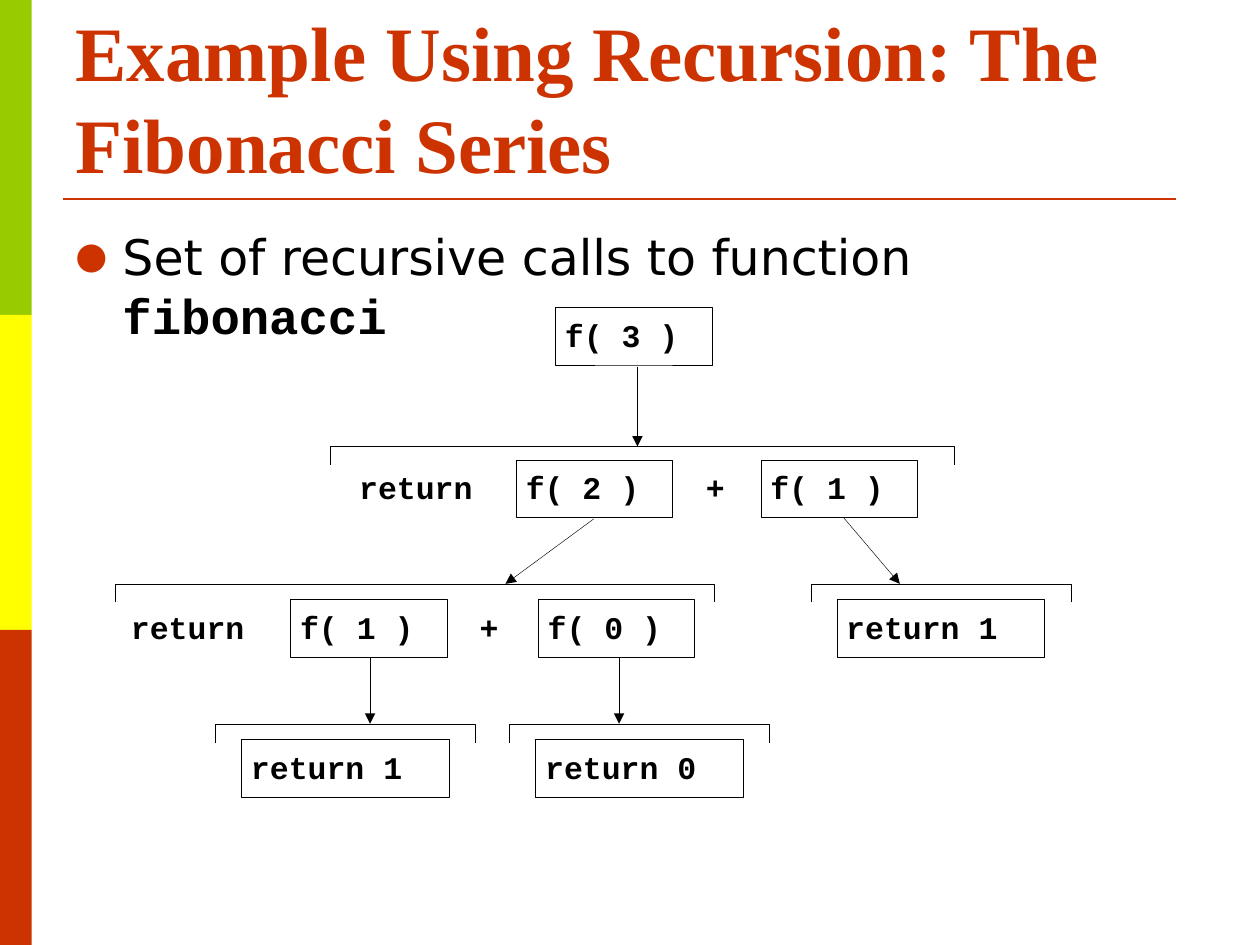
"""Build a slide that shows the recursive calls of the Fibonacci function."""
import pptx
import pptx.util
import pptx.dml.color
import pptx.enum.shapes
import pptx.enum.text
import pptx.oxml.ns
import lxml.etree

Cm, Pt = pptx.util.Cm, pptx.util.Pt
RECT = pptx.enum.shapes.MSO_SHAPE.RECTANGLE
RED, BLACK = "CC3300", "000000"
qn = pptx.oxml.ns.qn


def hue(code):
    return pptx.dml.color.RGBColor.from_string(code)


def style(run, name, size, code=BLACK, bold=True):
    run.font.name, run.font.size, run.font.bold = name, Pt(size), bold
    run.font.color.rgb = hue(code)


deck = pptx.Presentation()
deck.slide_width, deck.slide_height = Cm(25.4), Cm(19.05)
slide = deck.slides.add_slide(deck.slide_layouts[5])
shapes = slide.shapes

for row, code in enumerate(["99CC00", "FFFF00", RED]):
    bar = shapes.add_shape(RECT, 0, Cm(6.35 * row), Cm(0.64), Cm(6.35))
    bar.shadow.inherit = False
    bar.fill.solid()
    bar.fill.fore_color.rgb = hue(code)
    bar.line.fill.background()

title = shapes.title
title.left, title.top, title.width, title.height = Cm(1.27), Cm(0.76), Cm(22.86), Cm(3.18)
frame = title.text_frame
frame.text = "Example Using Recursion: The Fibonacci Series"
frame.word_wrap = True
frame.auto_size = pptx.enum.text.MSO_AUTO_SIZE.NONE
frame.vertical_anchor = pptx.enum.text.MSO_ANCHOR.BOTTOM
frame.paragraphs[0].alignment = pptx.enum.text.PP_ALIGN.LEFT
style(frame.paragraphs[0].runs[0], "Times New Roman", 44, RED)

body = shapes.add_textbox(Cm(1.27), Cm(4.45), Cm(22.86), Cm(12.57))
body.text_frame.word_wrap = True
para = body.text_frame.paragraphs[0]
para.text = "Set of recursive calls to function "
para.space_before = Pt(7)
style(para.runs[0], "DejaVu Sans", 28, bold=False)
code_run = para.add_run()
code_run.text = "fibonacci"
style(code_run, "Courier New", 28)
props = para._p.get_or_add_pPr()
props.set("marL", str(Cm(0.95)))
props.set("indent", str(Cm(-0.95)))
tint = lxml.etree.SubElement(props, qn("a:buClr"))
lxml.etree.SubElement(tint, qn("a:srgbClr"), val=RED)
lxml.etree.SubElement(props, qn("a:buSzPct"), val="75000")
lxml.etree.SubElement(props, qn("a:buFont"), typeface="DejaVu Sans")
lxml.etree.SubElement(props, qn("a:buChar"), char="●")

for left, right, top in [
    (4.34, 9.58, 14.6), (10.26, 15.51, 14.6), (16.35, 21.6, 11.77),
    (2.33, 14.4, 11.77), (6.65, 19.23, 9),
]:
    path = shapes.build_freeform(Cm(right), Cm(top + 0.37), scale=1.0)
    path.add_line_segments(
        [(Cm(right), Cm(top)), (Cm(left), Cm(top)), (Cm(left), Cm(top + 0.37))], close=False)
    brace = path.convert_to_shape()
    brace.shadow.inherit = False
    brace.fill.background()
    brace.line.color.rgb = hue(BLACK)
    brace.line.width = Pt(0.25)

rows = [6.2, 9.27, 12.09, 14.91]
short, long = 3.15, 4.19
for text, left, row, width, framed in [
    ("f( 3 )", 11.2, 0, short, True),
    ("return", 7.05, 1, short, False),
    ("f( 2 )", 10.41, 1, short, True),
    ("+", 14.04, 1, 0.9, False),
    ("f( 1 )", 15.34, 1, short, True),
    ("return", 2.45, 2, short, False),
    ("f( 1 )", 5.86, 2, short, True),
    ("+", 9.48, 2, 0.9, False),
    ("f( 0 )", 10.85, 2, short, True),
    ("return 1", 16.87, 2, long, True),
    ("return 1", 4.87, 3, long, True),
    ("return 0", 10.8, 3, long, True),
]:
    place = Cm(left), Cm(rows[row]), Cm(width), Cm(1.16)
    if framed:
        box = shapes.add_shape(RECT, *place)
        box.shadow.inherit = False
        box.fill.background()
        box.line.color.rgb = hue(BLACK)
        box.line.width = Pt(0.25)
    else:
        box = shapes.add_textbox(*place)
    frame = box.text_frame
    frame.text = text
    frame.word_wrap = True
    frame.margin_left, frame.margin_top = Cm(0.19), Cm(0.17)
    frame.margin_right = frame.margin_bottom = 0
    frame.vertical_anchor = pptx.enum.text.MSO_ANCHOR.TOP
    frame.paragraphs[0].alignment = pptx.enum.text.PP_ALIGN.LEFT
    style(frame.paragraphs[0].runs[0], "Courier New", 18)

for ends, code, weight, arrow in [
    ((1.27, 4.01, 23.7, 4.01), RED, 1.5, False),
    ((12.85, 7.39, 12.85, 9), BLACK, 0.25, True),
    ((11.97, 10.46, 10.19, 11.77), BLACK, 0.25, True),
    ((17.01, 10.44, 18.14, 11.77), BLACK, 0.25, True),
    ((7.46, 13.25, 7.46, 14.59), BLACK, 0.25, True),
    ((12.48, 13.25, 12.48, 14.59), BLACK, 0.25, True),
]:
    link = shapes.add_connector(
        pptx.enum.shapes.MSO_CONNECTOR.STRAIGHT, *[Cm(end) for end in ends])
    link.line.color.rgb = hue(code)
    link.line.width = Pt(weight)
    if arrow:
        lxml.etree.SubElement(link.line._get_or_add_ln(), qn("a:tailEnd"), type="triangle")
    lxml.etree.SubElement(link._element.spPr, qn("a:effectLst"))

deck.save("out.pptx")
